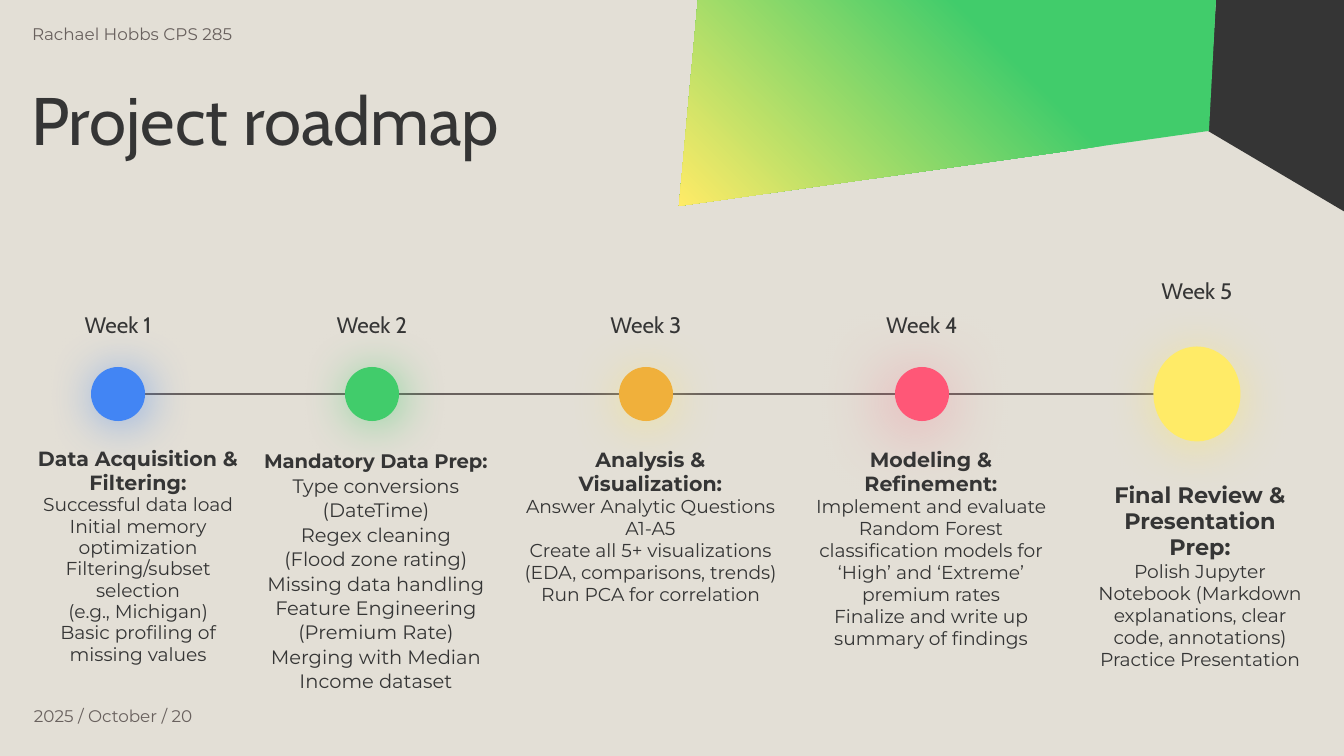
from lxml import etree
from pptx import Presentation
from pptx import util as u
from pptx.dml.color import RGBColor
from pptx.enum import shapes, text
from pptx.oxml.ns import qn

PX = 914400 / 134.4
DARK, GREY, GREEN, YELLOW, BLUE = "353535", "69615E", "41CC6B", "FFEB67", "4285F4"
AXIS_Y = 394
PAD = 13

# centre x, width, height, fill, glow (colour, opacity %, blur pt, distance pt, angle)
MARKERS = [
    (118, 54, 54, BLUE, (BLUE, 56, 25.9, 2.2, 45)),
    (372, 54, 54, GREEN, (GREEN, 56, 25.9, 2.2, 45)),
    (646, 54, 54, "F0B03B", (YELLOW, 50, 27, 3, 90)),
    (922, 54, 54, "FF5777", ("FF5777", 50, 38.2, 6, 130)),
    (1197, 87, 95, YELLOW, (YELLOW, 50, 27, 3, 90)),
]
LABEL_TOPS = [298, 298, 298, 298, 264]

# box (left, top, width, height), heading size, body size, line spacing, lines
TASKS = [
    ((22, 435, 232, 246), 11, 10, 0.95, [
        "Data Acquisition & Filtering:", "Successful data load",
        "Initial memory optimization", "Filtering/subset selection",
        "(e.g., Michigan)", "Basic profiling of missing values"]),
    ((249, 435, 254, 253), 10.5, 10.4, 1.05, [
        "Mandatory Data Prep:", "Type conversions (DateTime)",
        "Regex cleaning", "(Flood zone rating)", "Missing data handling",
        "Feature Engineering (Premium Rate)",
        "Merging with Median Income dataset"]),
    ((508, 435, 285, 266), 11, 10, 0.98, [
        "Analysis & Visualization:", "Answer Analytic Questions A1-A5",
        "Create all 5+ visualizations (EDA, comparisons, trends)",
        "Run PCA for correlation"]),
    ((793, 435, 276, 253), 11, 10, 0.98, [
        "Modeling & Refinement:",
        "Implement and evaluate Random Forest classification models for "
        "‘High’ and ‘Extreme’ premium rates",
        "Finalize and write up summary of findings"]),
    ((1079, 469, 242, 211), 12, 10, 0.98, [
        "Final Review & Presentation Prep:",
        "Polish Jupyter Notebook (Markdown explanations, clear code, annotations)",
        "Practice Presentation"]),
]


def px(length):
    return u.Emu(round(length * PX))


def rgb(value):
    return RGBColor.from_string(value)


def add_glow(shape, color, opacity, blur, distance, angle):
    """Put a soft coloured outer shadow on a shape."""
    effects = etree.SubElement(shape.element.spPr, qn("a:effectLst"))
    shadow = etree.SubElement(
        effects, qn("a:outerShdw"), blurRad=str(u.Pt(blur)), dist=str(u.Pt(distance)),
        dir=str(angle * 60000), algn="bl", rotWithShape="0")
    tint = etree.SubElement(shadow, qn("a:srgbClr"), val=color)
    etree.SubElement(tint, qn("a:alpha"), val=str(opacity * 1000))


def add_polygon(page, points):
    builder = page.shapes.build_freeform(*points[0], scale=PX)
    builder.add_line_segments(points[1:], close=True)
    shape = builder.convert_to_shape()
    shape.shadow.inherit = False
    shape.line.fill.background()
    return shape


def fill_gradient(shape, stops, angle):
    shape.fill.gradient()
    shape.fill.gradient_angle = angle
    stop_list = shape.element.spPr.find(".//" + qn("a:gsLst"))
    for old in list(stop_list):
        stop_list.remove(old)
    for position, color in stops:
        stop = etree.SubElement(stop_list, qn("a:gs"), pos=str(position * 1000))
        etree.SubElement(stop, qn("a:srgbClr"), val=color)


def add_axis(page, start, end):
    line = page.shapes.add_connector(
        shapes.MSO_CONNECTOR.STRAIGHT, px(start), px(AXIS_Y), px(end), px(AXIS_Y))
    line.line.color.rgb = rgb(GREY)
    line.line.width = u.Pt(0.75)
    etree.SubElement(line._element.spPr, qn("a:effectLst"))


def add_marker(page, center, width, height, color, glow):
    dot = page.shapes.add_shape(
        shapes.MSO_SHAPE.OVAL, px(center - width / 2), px(AXIS_Y - height / 2),
        px(width), px(height))
    dot.fill.solid()
    dot.fill.fore_color.rgb = rgb(color)
    dot.line.fill.background()
    add_glow(dot, *glow)


def add_box(page, left, top, width, height, pad=PAD, anchor=text.MSO_ANCHOR.TOP):
    box = page.shapes.add_textbox(px(left), px(top), px(width), px(height))
    frame = box.text_frame
    frame.word_wrap = True
    frame.vertical_anchor = anchor
    frame.margin_left = frame.margin_right = px(pad)
    frame.margin_top = frame.margin_bottom = px(pad)
    return frame


def write(para, words, size, font="Montserrat", color=DARK, bold=False,
          align=text.PP_ALIGN.LEFT, spacing=1.0):
    para.alignment = align
    para.line_spacing = spacing
    span = para.add_run()
    span.text = words
    span.font.size = u.Pt(size)
    span.font.name = font
    span.font.bold = bold
    span.font.color.rgb = rgb(color)


def add_task(page, place, heading_size, body_size, spacing, lines):
    frame = add_box(page, *place)
    for index, words in enumerate(lines):
        heading = index == 0
        para = frame.paragraphs[0] if heading else frame.add_paragraph()
        write(para, words, heading_size if heading else body_size, bold=heading,
              align=text.PP_ALIGN.CENTER, spacing=spacing)


def main():
    deck = Presentation()
    deck.slide_width, deck.slide_height = px(1344), px(756)
    page = deck.slides.add_slide(deck.slide_layouts[6])
    page.background.fill.solid()
    page.background.fill.fore_color.rgb = rgb("E3DFD6")

    corner = add_polygon(page, [(1208, 131), (1345, 212), (1345, -1), (1216, -1)])
    corner.fill.solid()
    corner.fill.fore_color.rgb = rgb(DARK)
    banner = add_polygon(page, [(698, -1), (679, 206), (1209, 131), (1216, 0)])
    fill_gradient(banner, [(0, GREEN), (35, GREEN), (100, YELLOW)], 225)

    write(add_box(page, 19, 13, 290, 50).paragraphs[0],
          "Rachael Hobbs CPS 285", 9, color=GREY)
    write(add_box(page, 18, 74, 856, 101).paragraphs[0],
          "Project roadmap", 36, font="Cabin", spacing=0.9)
    write(add_box(page, 34, 702, 285, 28, pad=0,
                  anchor=text.MSO_ANCHOR.MIDDLE).paragraphs[0],
          "2025 / October / 20", 9, color=GREY)

    add_axis(page, 101, 1230)
    for week, (marker, top, task) in enumerate(zip(MARKERS, LABEL_TOPS, TASKS), 1):
        add_marker(page, *marker)
        label = add_box(page, marker[0] - 60, top, 120, 54)
        write(label.paragraphs[0], f"Week {week}", 12, font="Cabin",
              align=text.PP_ALIGN.CENTER)
        add_task(page, *task)

    deck.save("out.pptx")


if __name__ == "__main__":
    main()
